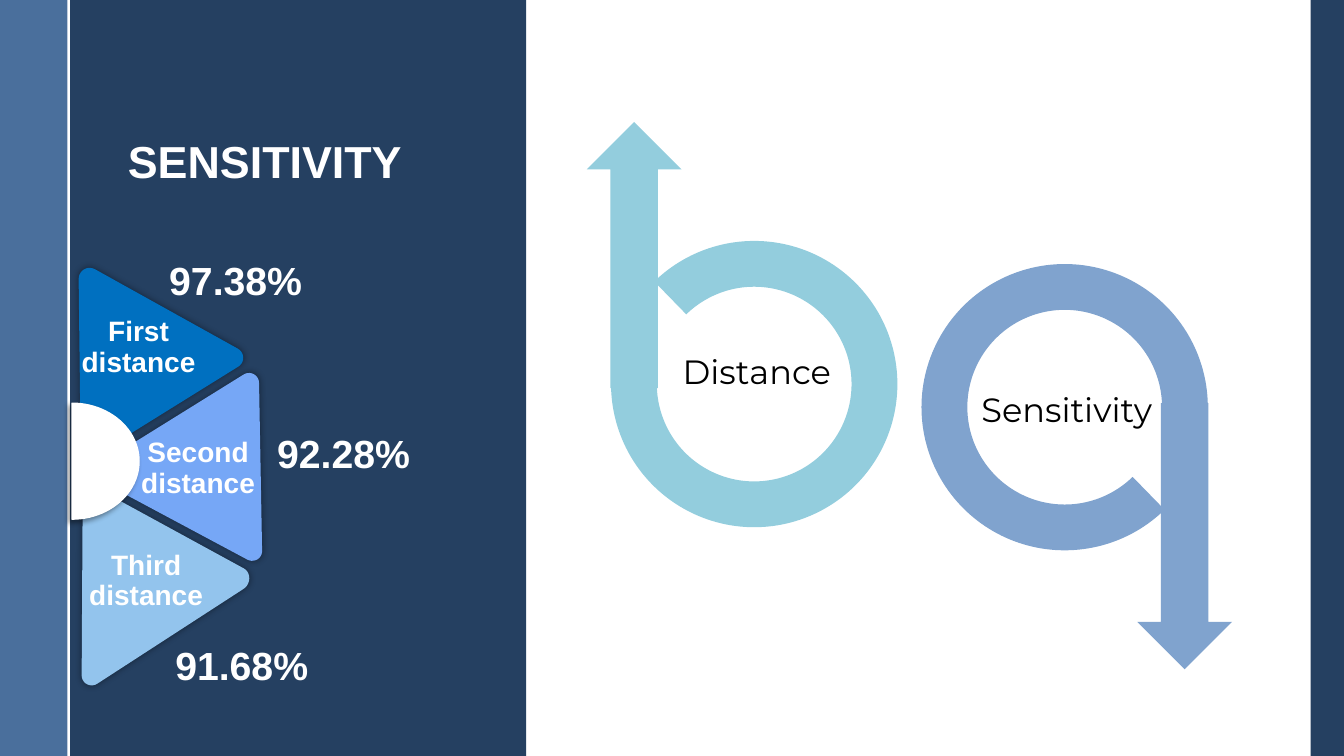
from dataclasses import dataclass

from lxml import etree
from pptx import Presentation
from pptx import util as u
from pptx.dml.color import RGBColor
from pptx.enum import shapes, text
from pptx.oxml.ns import qn

COLUMNS, ROWS = 13.33, 7.5
UNIT = u.Inches(1)  # one grid column or row


@dataclass(frozen=True)
class Theme:
    navy: str = "254061"
    steel: str = "376092"
    white: str = "FFFFFF"
    black: str = "000000"
    first: str = "0070C0"
    second: str = "76A7F6"
    third: str = "93C4ED"
    distance: str = "93CDDD"
    sensitivity: str = "80A3CE"
    body_font: str = "Arial"
    loop_font: str = "Montserrat"
    title_size: int = 32
    value_size: int = 28
    loop_size: int = 24
    label_size: int = 20


THEME = Theme()

# Each wedge is three rounded corners: start, two Bézier controls, end.
WEDGES = [
    (THEME.third, [
        [(2.42, 5.64), (2.49, 5.68), (2.49, 5.79), (2.42, 5.84)],
        [(0.97, 6.78), (0.9, 6.83), (0.81, 6.78), (0.81, 6.7)],
        [(0.82, 4.97), (0.82, 4.88), (0.91, 4.82), (0.99, 4.86)],
    ]),
    (THEME.second, [
        [(2.41, 3.72), (2.48, 3.67), (2.57, 3.72), (2.57, 3.8)],
        [(2.6, 5.45), (2.61, 5.54), (2.52, 5.59), (2.45, 5.55)],
        [(1.01, 4.78), (0.94, 4.74), (0.94, 4.64), (1.01, 4.59)],
    ]),
    (THEME.first, [
        [(0.78, 2.77), (0.78, 2.69), (0.86, 2.63), (0.94, 2.67)],
        [(2.36, 3.46), (2.43, 3.5), (2.43, 3.6), (2.36, 3.64)],
        [(0.96, 4.51), (0.89, 4.55), (0.8, 4.5), (0.8, 4.42)],
    ]),
]
WEDGE_LABELS = [
    (["First distance"], (0.46, 2.15, 1.83, 1.65)),
    (["Second", "distance"], (1.05, 3.35, 1.83, 1.65)),
    (["Third distance"], (0.77, 4.41, 1.36, 1.71)),
]
VALUES = [("97.38%", 1.58, 2.49), ("92.28%", 2.65, 4.21), ("91.68%", 1.64, 6.31)]


def grid(*lengths):
    return [round(length * UNIT) for length in lengths]


def paint(shape, color):
    shape.shadow.inherit = False
    shape.fill.solid()
    shape.fill.fore_color.rgb = RGBColor.from_string(color)
    shape.line.fill.background()


def add_shape(slide, kind, box, color, adjustments=(), rotation=0):
    shape = slide.shapes.add_shape(kind, *grid(*box))
    paint(shape, color)
    for index, value in enumerate(adjustments):
        shape.adjustments[index] = value
    shape.rotation = rotation
    return shape


def add_alpha(color_element, percent):
    etree.SubElement(color_element, qn("a:alpha"), val=str(percent * 1000))


def add_shadow(shape, blur, distance=0, direction=0):
    """Add a 40% black outer shadow; blur and distance in points."""
    effects = shape._element.spPr.find(qn("a:effectLst"))
    shadow = etree.SubElement(
        effects, qn("a:outerShdw"), blurRad=str(u.Pt(blur)), dist=str(u.Pt(distance)),
        dir=str(direction * 60000), algn="ctr", rotWithShape="0")
    add_alpha(etree.SubElement(shadow, qn("a:srgbClr"), val=THEME.black), 40)


def add_text(slide, lines, box, size, font=THEME.body_font, color=THEME.white, bold=True,
             align=text.PP_ALIGN.LEFT, anchor=text.MSO_ANCHOR.TOP, spacing=1.0, wrap=True):
    frame = slide.shapes.add_textbox(*grid(*box)).text_frame
    frame.word_wrap = wrap
    frame.vertical_anchor = anchor
    frame.text = "\n".join(lines)
    for paragraph in frame.paragraphs:
        paragraph.alignment = align
        paragraph.line_spacing = spacing
        paragraph.font.name = font
        paragraph.font.size = u.Pt(size)
        paragraph.font.bold = bold
        paragraph.font.color.rgb = RGBColor.from_string(color)


def bezier(start, control_1, control_2, end, steps=10):
    for step in range(steps + 1):
        t = step / steps
        weights = ((1 - t) ** 3, 3 * t * (1 - t) ** 2, 3 * t * t * (1 - t), t ** 3)
        points = (start, control_1, control_2, end)
        yield tuple(sum(w * p[axis] for w, p in zip(weights, points)) for axis in (0, 1))


def add_wedge(slide, color, corners):
    outline = [grid(*point) for corner in corners for point in bezier(*corner)]
    builder = slide.shapes.build_freeform(*outline[0])
    builder.add_line_segments(outline[1:], close=True)
    wedge = builder.convert_to_shape()
    paint(wedge, color)
    add_shadow(wedge, blur=5)


def add_loop_arrow(slide, left, top, color, turned=False):
    """Draw an open ring with a tangent arrow; turned spins both by half a turn."""
    ring, width, height = 2.84, 0.94, 2.64
    across, down = 2.14, 1.38
    if turned:
        across, down = ring - across - width, ring - down - height
    rotation = 180 if turned else 0
    add_shape(slide, shapes.MSO_SHAPE.BLOCK_ARC, (left, top, ring, ring), color,
              (27.45, 215.27, 0.16), rotation)
    add_shape(slide, shapes.MSO_SHAPE.DOWN_ARROW, (left + across, top + down, width, height),
              color, rotation=rotation)


def add_panels(slide):
    rectangle = shapes.MSO_SHAPE.RECTANGLE
    add_shape(slide, rectangle, (0.68, 0, 4.54, ROWS), THEME.navy)
    strip = add_shape(slide, rectangle, (0, 0, 0.67, ROWS), THEME.steel)
    add_alpha(strip._element.spPr.find(".//" + qn("a:srgbClr")), 90)
    rule = slide.shapes.add_connector(
        shapes.MSO_CONNECTOR.STRAIGHT, *grid(0.68, 0, 0.68, ROWS))
    rule.line.color.rgb = RGBColor.from_string(THEME.white)
    rule.line.width = u.Pt(1.5)
    etree.SubElement(rule._element.spPr, qn("a:effectLst"))
    add_shape(slide, rectangle, (13, 0, 0.33, ROWS), THEME.navy)


def add_fan(slide):
    for color, corners in WEDGES:
        add_wedge(slide, color, corners)
    hub = add_shape(slide, shapes.MSO_SHAPE.CHORD, (0.05, 4, 1.33, 1.15), THEME.white,
                    (162, 54))
    hub.line.color.rgb = RGBColor.from_string(THEME.white)
    hub.line.width = u.Pt(1)
    add_shadow(hub, blur=4, distance=3, direction=135)
    for lines, box in WEDGE_LABELS:
        add_text(slide, lines, box, THEME.label_size, align=text.PP_ALIGN.CENTER,
                 anchor=text.MSO_ANCHOR.BOTTOM, spacing=0.9)
    for value, left, top in VALUES:
        add_text(slide, [value], (left, top, 1.58, 0.57), THEME.value_size)


def add_loops(slide):
    label = dict(size=THEME.loop_size, font=THEME.loop_font, color=THEME.black,
                 bold=False, align=text.PP_ALIGN.CENTER)
    add_loop_arrow(slide, 9.14, 2.62, THEME.sensitivity)
    add_text(slide, ["Sensitivity"], (9.44, 3.81, 2.28, 0.5), **label)
    add_loop_arrow(slide, 6.06, 2.39, THEME.distance, turned=True)
    add_text(slide, ["Distance "], (6.58, 3.43, 1.94, 0.5), wrap=False, **label)


def main():
    presentation = Presentation()
    presentation.slide_width, presentation.slide_height = grid(COLUMNS, ROWS)
    slide = presentation.slides.add_slide(presentation.slide_layouts[6])
    add_panels(slide)
    add_text(slide, ["SENSITIVITY"], (1.17, 0.42, 3.6, 1.5), THEME.title_size,
             anchor=text.MSO_ANCHOR.BOTTOM, spacing=0.9)
    add_fan(slide)
    add_loops(slide)
    presentation.save("out.pptx")


if __name__ == "__main__":
    main()
